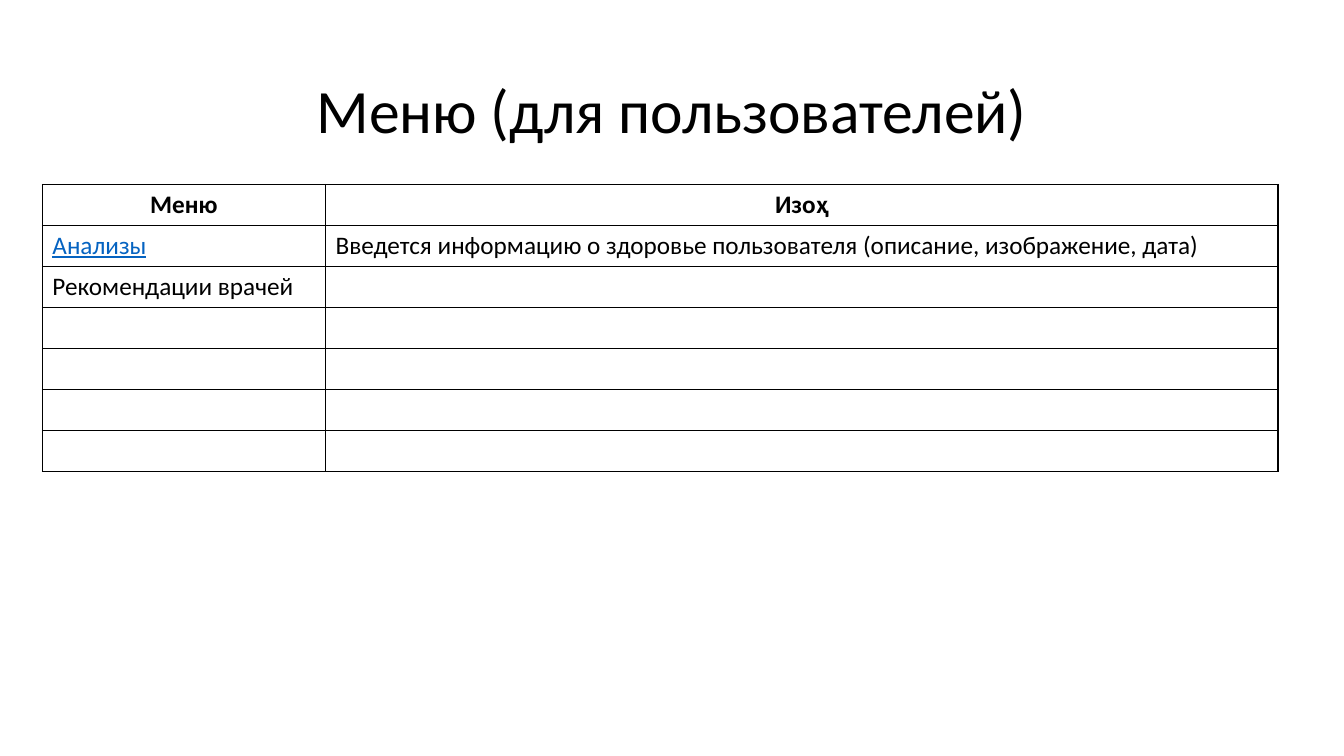
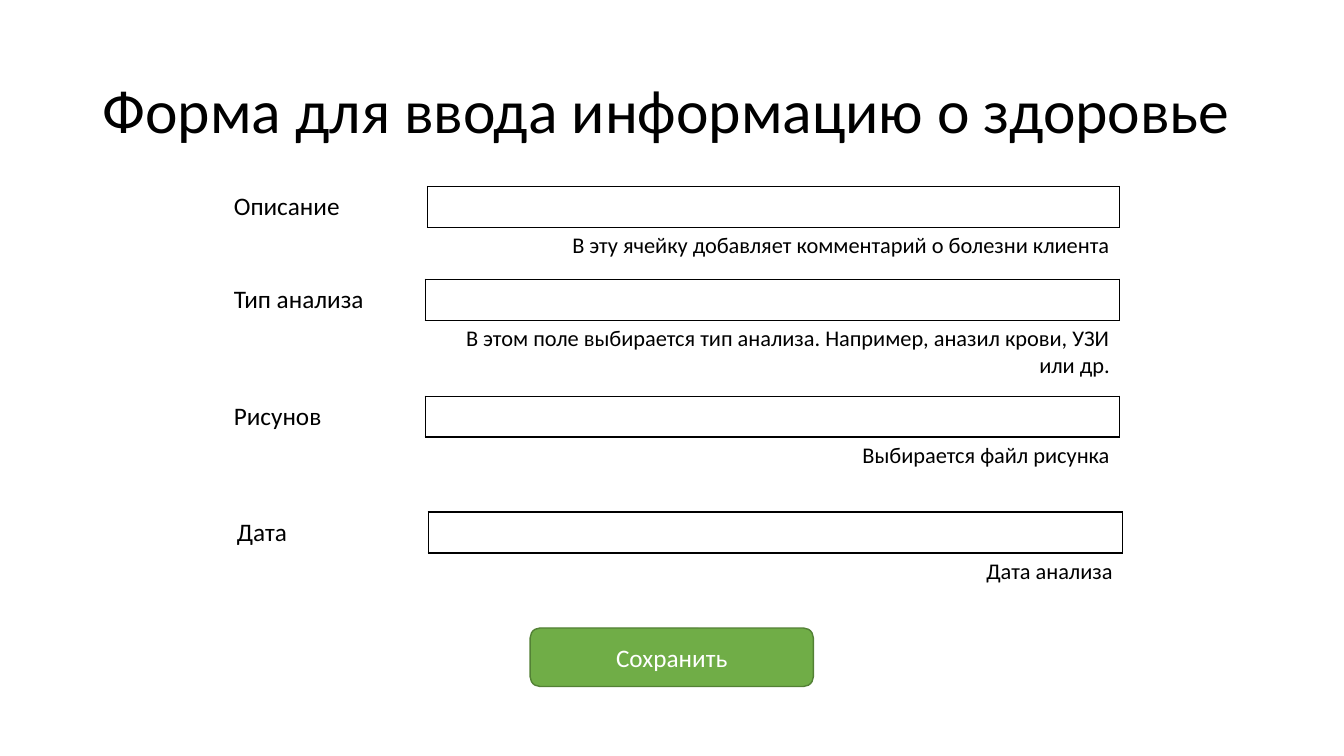
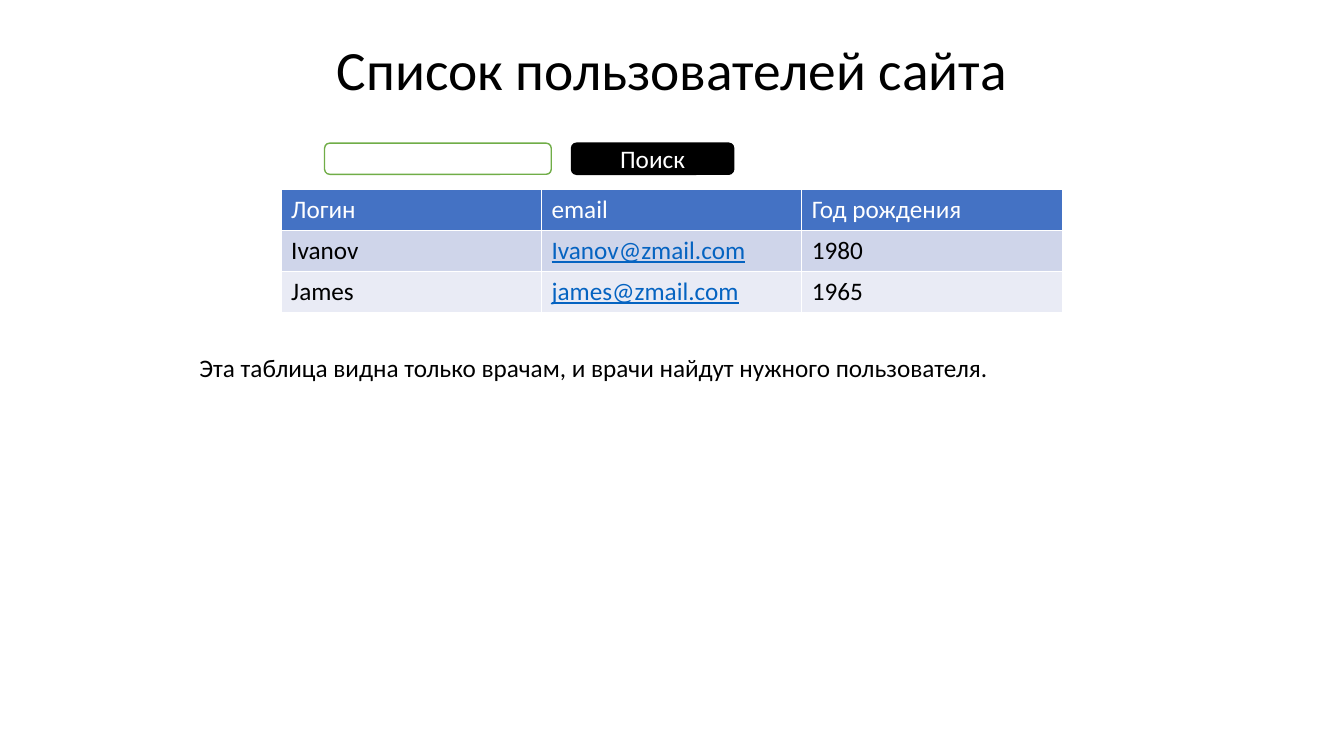
from lxml import etree
from pptx import Presentation
from pptx.dml.color import RGBColor
from pptx.enum.shapes import MSO_SHAPE
from pptx.enum.text import MSO_ANCHOR as ANCHOR, PP_ALIGN as ALIGN
from pptx.oxml.ns import qn
from pptx.util import Inches, Pt

BLACK = RGBColor(0x00, 0x00, 0x00)
WHITE = RGBColor(0xFF, 0xFF, 0xFF)
GREEN = RGBColor(0x70, 0xAD, 0x47)
DARK_GREEN = RGBColor(0x53, 0x81, 0x35)
BLUE = RGBColor(0x44, 0x72, 0xC4)
BAND_DARK = RGBColor(0xCF, 0xD5, 0xEA)
BAND_LIGHT = RGBColor(0xE9, 0xEB, 0xF5)
LINK = RGBColor(0x05, 0x63, 0xC1)

FONT = "Calibri"
NO_STYLE = "{2D5ABB26-0587-4C30-8999-92F81FD0307C}"
ROW = 5.42
FIELD_COLS = (15, 51.67)


class Deck:
    """Holds the style and the current slide; lengths are percent of its size."""

    def __init__(self):
        self.prs = Presentation()
        self.prs.slide_width, self.prs.slide_height = Inches(13.33), Inches(7.5)
        self.s = None

    def x(self, share):
        return round(self.prs.slide_width * share / 100)

    def y(self, share):
        return round(self.prs.slide_height * share / 100)

    def box(self, x, y, w, h):
        return self.x(x), self.y(y), self.x(w), self.y(h)

    def put_text(self, tf, text, size=18, color=BLACK, align=ALIGN.LEFT,
                 bold=False, underline=False):
        p = tf.paragraphs[0]
        p.text = text
        p.alignment = align
        for r in p.runs:
            font = r.font
            font.name, font.size, font.bold = FONT, Pt(size), bold
            font.color.rgb = color
            if underline:
                font.underline = True

    def slide(self, title, height=19.33, size=44, align=ALIGN.CENTER):
        self.s = self.prs.slides.add_slide(self.prs.slide_layouts[6])
        tf = self.text(title, 6.88, 5.33, 86.25, height, size=size, align=align)
        tf.vertical_anchor = ANCHOR.MIDDLE
        tf.paragraphs[0].line_spacing = 0.9

    def text(self, text, x, y, w, h, **style):
        tf = self.s.shapes.add_textbox(*self.box(x, y, w, h)).text_frame
        tf.word_wrap = True
        self.put_text(tf, text, **style)
        return tf

    def rounded(self, x, y, w, h, fill, line, text=""):
        sp = self.s.shapes.add_shape(MSO_SHAPE.ROUNDED_RECTANGLE,
                                     *self.box(x, y, w, h))
        sp.shadow.inherit = False
        sp.fill.solid()
        sp.fill.fore_color.rgb = fill
        sp.line.color.rgb = line
        sp.line.width = Pt(1)
        sp.text_frame.vertical_anchor = ANCHOR.MIDDLE
        self.put_text(sp.text_frame, text, color=WHITE, align=ALIGN.CENTER)

    def table(self, x, y, cols, rows):
        """Add an unstyled table with rows of one height."""
        frame = self.s.shapes.add_table(
            rows, len(cols), *self.box(x, y, sum(cols), rows * ROW))
        frame.element.find(".//" + qn("a:tableStyleId")).text = NO_STYLE
        table = frame.table
        table.first_row = table.horz_banding = False
        for column, width in zip(table.columns, cols):
            column.width = self.x(width)
        for row in table.rows:
            row.height = self.y(ROW)
        return table

    def cell(self, cell, text="", fill=None, borders="LRTB", line=BLACK, **style):
        """Fill a cell and draw the sides named in borders."""
        self.put_text(cell.text_frame, text, **style)
        if fill is None:
            cell.fill.background()
        else:
            cell.fill.solid()
            cell.fill.fore_color.rgb = fill
        tc_pr = cell._tc.get_or_add_tcPr()
        for i, side in enumerate(borders):
            ln = etree.Element(qn("a:ln" + side), w=str(Pt(1)))
            solid = etree.SubElement(ln, qn("a:solidFill"))
            etree.SubElement(solid, qn("a:srgbClr"), val=str(line))
            tc_pr.insert(i, ln)

    def field(self, label, hint, x, y, cols=FIELD_COLS):
        """Add a labelled input box with a hint below it."""
        table = self.table(x, y, cols, 2)
        self.cell(table.cell(0, 0), label, borders="R")
        self.cell(table.cell(0, 1))
        self.cell(table.cell(1, 0), borders="")
        self.cell(table.cell(1, 1), hint, borders="T", size=16, align=ALIGN.RIGHT)


def menu_slide(deck):
    deck.slide("Меню (для пользователей)")
    rows = [
        ("Меню", "Изоҳ"),
        ("Анализы", "Введется информацию о здоровье пользователя "
                    "(описание, изображение, дата)"),
        ("Рекомендации врачей", ""),
    ] + [("", "")] * 4
    table = deck.table(3.15, 24.4, (21.07, 70.87), len(rows))
    for i, row in enumerate(rows):
        for j, text in enumerate(row):
            if i == 0:
                style = dict(bold=True, align=ALIGN.CENTER)
            elif (i, j) == (1, 0):
                style = dict(color=LINK, underline=True)
            else:
                style = {}
            deck.cell(table.cell(i, j), text, **style)


def form_slide(deck):
    deck.slide("Форма для ввода информацию о здоровье", align=ALIGN.LEFT)
    deck.rounded(39.45, 83.07, 21.07, 7.73, GREEN, DARK_GREEN, "Сохранить")
    deck.field("Описание", "В эту ячейку добавляет комментарий о болезни клиента",
               16.65, 24.67, cols=(15.15, 51.52))
    deck.field("Тип анализа", "В этом поле выбирается тип анализа. "
               "Например, аназил крови, УЗИ или др.", 16.65, 36.93)
    deck.field("Рисунов", "Выбирается файл рисунка", 16.65, 52.4)
    deck.field("Дата", "Дата анализа", 16.87, 67.73)


def users_slide(deck):
    deck.slide("Список пользователей сайта", height=8.67, size=39.6)
    rows = [
        ("Логин", "email", "Год рождения"),
        ("Ivanov", "Ivanov@zmail.com", "1980"),
        ("James", "james@zmail.com", "1965"),
    ]
    table = deck.table(20.92, 25.07, (19.37,) * 3, len(rows))
    for i, (row, fill) in enumerate(zip(rows, (BLUE, BAND_DARK, BAND_LIGHT))):
        for j, text in enumerate(row):
            is_link = i > 0 and j == 1
            color = WHITE if i == 0 else LINK if is_link else BLACK
            deck.cell(table.cell(i, j), text, fill=fill, line=WHITE,
                      color=color, underline=is_link)
    deck.rounded(24.15, 18.93, 16.87, 4.13, WHITE, GREEN)
    deck.rounded(42.52, 18.93, 12.07, 4.13, BLACK, BLACK, "Поиск")
    deck.text("Эта таблица видна только врачам, и врачи найдут нужного пользователя.",
              14.1, 46, 73.42, 5.33)


def main():
    deck = Deck()
    menu_slide(deck)
    form_slide(deck)
    users_slide(deck)
    deck.prs.save("out.pptx")


if __name__ == "__main__":
    main()
